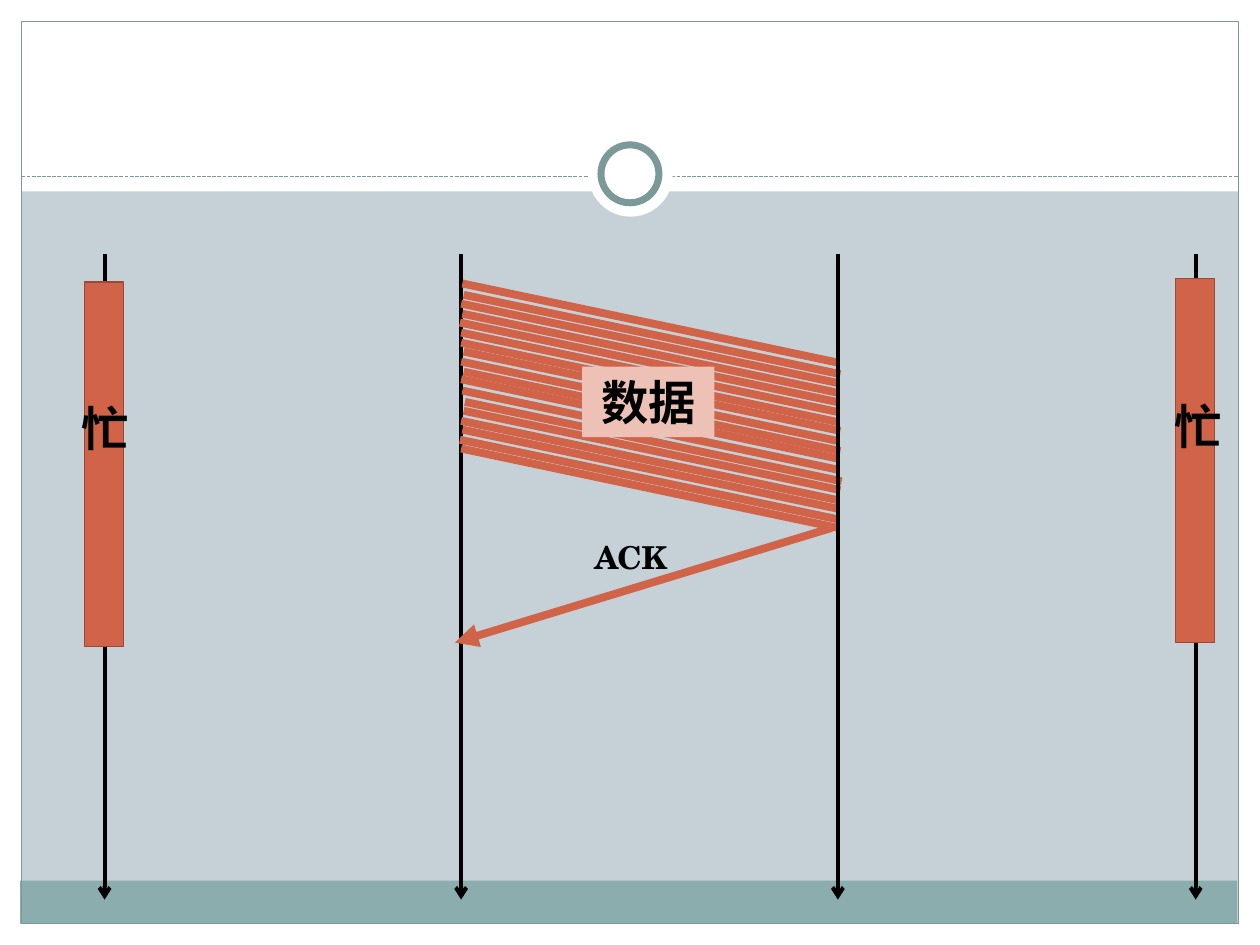
from lxml import etree
from pptx import Presentation
from pptx import util as u
from pptx.dml.color import RGBColor
from pptx.enum import dml, shapes, text
from pptx.oxml.ns import qn

THEME = {
    "background": "C5D1D7", "white": "FFFFFF", "band": "8CADAE", "frame": "7C999A",
    "ink": "000000", "signal": "D16349", "edge": "9B4936", "label": "EDC1B6",
    "latin": "TeX Gyre Schola", "cjk": "Noto Sans CJK SC",
    "small": 18, "large": 27,
    "hairline": 0.75, "outline": 0.9, "axis": 2.25, "ring": 4, "strand": 4.5,
}

MARGINS = [(0, 7.33, 10, 0.17), (0, 0, 10, 1.52), (0, 0, 0.17, 7.5), (9.83, 0, 0.17, 7.5)]
AXES_X = [0.83, 9.49, 3.66]
RECEIVER_X = 6.65
AXIS_Y = (2.02, 7.14)
BUSY_BARS = [(0.67, 2.24), (9.33, 2.21)]
BUSY_SIZE = (0.31, 2.89)
LABELS = [
    ("ACK", (4.62, 4.22, 0.94, 0.4), "latin", "small"),
    ("忙", (0.55, 3.12, 0.94, 0.56), "cjk", "large"),
    ("忙", (9.22, 3.1, 0.94, 0.56), "cjk", "large"),
]
STRAND_STARTS = [
    (3.67, 2.25), (3.68, 2.34), (3.66, 2.41), (3.67, 2.49), (3.65, 2.56), (3.66, 2.64),
    (3.66, 2.72), (3.68, 2.79), (3.66, 2.87), (3.68, 2.95), (3.66, 3.01), (3.67, 3.1),
    (3.69, 3.19), (3.68, 3.26), (3.66, 3.34), (3.67, 3.41), (3.65, 3.49), (3.66, 3.56),
]
STRAND_RUN, STRAND_DROP = 2.99, 0.63


def color(name):
    return RGBColor.from_string(THEME[name])


def add_shape(page, frame, fill=None, line=None, weight=None, kind=shapes.MSO_SHAPE.RECTANGLE):
    shape = page.shapes.add_shape(kind, *map(u.Inches, frame))
    shape.shadow.inherit = False
    if fill:
        shape.fill.solid()
        shape.fill.fore_color.rgb = color(fill)
    else:
        shape.fill.background()
    if line:
        shape.line.color.rgb = color(line)
        shape.line.width = u.Pt(THEME[weight])
    else:
        shape.line.fill.background()
    return shape


def add_line(page, start, end, line, weight, tail=None):
    connector = page.shapes.add_connector(
        shapes.MSO_CONNECTOR.STRAIGHT, *map(u.Inches, start + end))
    connector.line.color.rgb = color(line)
    connector.line.width = u.Pt(THEME[weight])
    if tail:
        etree.SubElement(connector.line._get_or_add_ln(), qn("a:tailEnd"), type=tail)
    etree.SubElement(connector._element.spPr, qn("a:effectLst"))
    return connector


def write(box, words, font, size, align=text.PP_ALIGN.LEFT):
    frame = box.text_frame
    settings = {"word_wrap": True, "auto_size": text.MSO_AUTO_SIZE.SHAPE_TO_FIT_TEXT,
                "vertical_anchor": text.MSO_ANCHOR.TOP}
    for name, value in settings.items():
        setattr(frame, name, value)
    para = frame.paragraphs[0]
    para.alignment = align
    span = para.add_run()
    span.text = words
    for name, value in {"name": THEME[font], "size": u.Pt(THEME[size]), "bold": True}.items():
        setattr(span.font, name, value)
    span.font.color.rgb = color("ink")
    etree.SubElement(span._r.get_or_add_rPr(), qn("a:ea"), typeface=THEME[font])


def add_axis(page, x):
    top, bottom = AXIS_Y
    add_line(page, (x, top), (x, bottom), "ink", "axis", "arrow")


def add_backdrop(page):
    page.background.fill.solid()
    page.background.fill.fore_color.rgb = color("background")
    for margin in MARGINS:
        add_shape(page, margin, "white")
    add_shape(page, (0.16, 6.99, 9.66, 0.34), "band")
    add_shape(page, (0.17, 0.17, 9.66, 7.16), None, "frame", "hairline")
    divider = add_line(page, (0.17, 1.4), (9.83, 1.4), "frame", "hairline")
    divider.line.dash_style = dml.MSO_LINE.SQUARE_DOT
    oval = shapes.MSO_SHAPE.OVAL
    add_shape(page, (4.67, 1.05, 0.67, 0.67), "white", kind=oval)
    add_shape(page, (4.77, 1.15, 0.46, 0.46), "white", "frame", "ring", oval)


def add_exchange(page):
    for x in AXES_X:
        add_axis(page, x)
    for corner in BUSY_BARS:
        add_shape(page, corner + BUSY_SIZE, "signal", "edge", "outline")
    add_line(page, (6.6, 4.19), (3.61, 5.1), "signal", "strand", "triangle")
    for words, frame, font, size in LABELS:
        write(page.shapes.add_textbox(*map(u.Inches, frame)), words, font, size)
    for x, y in STRAND_STARTS:
        add_line(page, (x, y), (x + STRAND_RUN, y + STRAND_DROP), "signal", "strand")
    data = add_shape(page, (4.62, 2.91, 1.05, 0.56), "label")
    write(data, "数据", "cjk", "large", text.PP_ALIGN.CENTER)
    add_axis(page, RECEIVER_X)


def main():
    deck = Presentation()
    deck.slide_width, deck.slide_height = u.Inches(10), u.Inches(7.5)
    page = deck.slides.add_slide(deck.slide_layouts[6])
    add_backdrop(page)
    add_exchange(page)
    deck.save("out.pptx")


if __name__ == "__main__":
    main()
